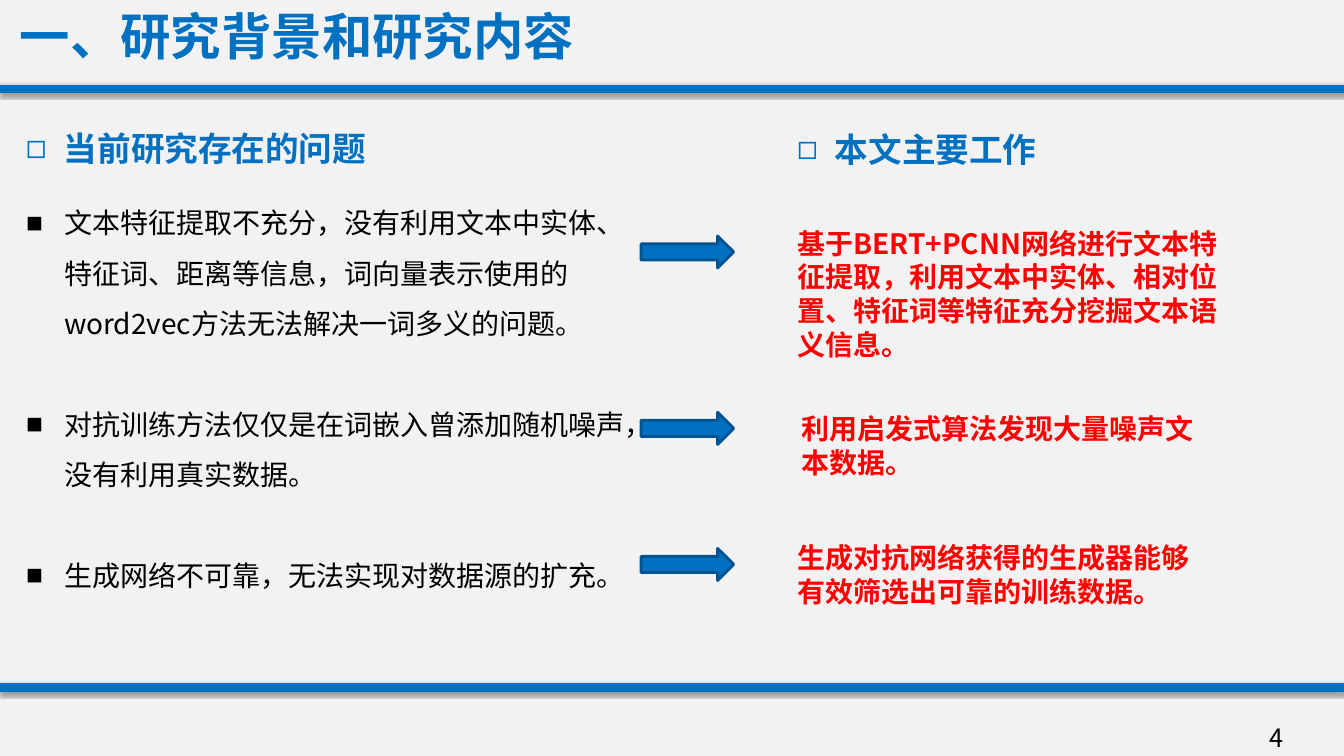
import pptx
import pptx.util
import pptx.dml.color
import pptx.enum.shapes
import pptx.enum.text
import pptx.oxml.ns
import pptx.oxml.xmlchemy

Pt = pptx.util.Pt
RGB = pptx.dml.color.RGBColor
ALIGN = pptx.enum.text.PP_ALIGN
ANCHOR = pptx.enum.text.MSO_ANCHOR
SHAPE = pptx.enum.shapes.MSO_SHAPE
LINK = pptx.enum.shapes.MSO_CONNECTOR

BLUE = RGB(0x00, 0x70, 0xC0)
NAVY = RGB(0x00, 0x53, 0x8E)
RED = RGB(0xFF, 0x00, 0x00)
BLACK = RGB(0x00, 0x00, 0x00)
GREY = RGB(0xF2, 0xF2, 0xF2)

FONT = "Noto Sans CJK SC"
WIDTH, HEIGHT = 960, 540
LEFT, RIGHT = 11.5, 562.3
INDENT = 27

ISSUES = [
    "文本特征提取不充分，没有利用文本中实体、特征词、距离等信息，"
    "词向量表示使用的word2vec方法无法解决一词多义的问题。",
    "对抗训练方法仅仅是在词嵌入曾添加随机噪声，没有利用真实数据。",
    "生成网络不可靠，无法实现对数据源的扩充。",
]

# Each row: arrow top, text left, text top, text width, text height, text
WORKS = [
    (168.5, RIGHT, 158, 316.8, 104.4,
     "基于BERT+PCNN网络进行文本特征提取，利用文本中实体、"
     "相对位置、特征词等特征充分挖掘文本语义信息。"),
    (294.5, 565.2, 290.5, 299.5, 55.4, "利用启发式算法发现大量噪声文本数据。"),
    (391.7, RIGHT, 382.6, 302.4, 55.4,
     "生成对抗网络获得的生成器能够有效筛选出可靠的训练数据。"),
]


def node(tag, **attrs):
    item = pptx.oxml.xmlchemy.OxmlElement(tag)
    for name, value in attrs.items():
        item.set(name, str(value))
    return item


def place(shape, left, top, width, height):
    shape.left, shape.top = Pt(left), Pt(top)
    shape.width, shape.height = Pt(width), Pt(height)


def frame(shape, anchor=ANCHOR.TOP):
    """Make the text wrap at a fixed size and return its frame."""
    text = shape.text_frame
    text.word_wrap = True
    text.auto_size = pptx.enum.text.MSO_AUTO_SIZE.NONE
    text.vertical_anchor = anchor
    return text


def write(para, text, size, color, bold=False, pitch=1.2, align=ALIGN.LEFT):
    """Add one run; pitch is the line height as a share of the size."""
    para.alignment = align
    para.line_spacing = Pt(size * pitch)
    para.space_before = para.space_after = Pt(0)
    run = para.add_run()
    run.text = text
    font = run.font
    font.name, font.size, font.bold = FONT, Pt(size), bold
    font.color.rgb = color
    latin = run._r.rPr.find(pptx.oxml.ns.qn("a:latin"))
    latin.addnext(node("a:ea", typeface=FONT))


def mark(para, char):
    """Give the paragraph a bullet and a hanging indent."""
    props = para._p.get_or_add_pPr()
    props.set("marL", str(Pt(INDENT)))
    props.set("indent", str(-Pt(INDENT)))
    props.append(node("a:buFont", typeface="Arial"))
    props.append(node("a:buChar", char=char))


def add_text(slide, left, top, width, height, anchor=ANCHOR.TOP):
    box = slide.shapes.add_textbox(Pt(left), Pt(top), Pt(width), Pt(height))
    return frame(box, anchor).paragraphs[0]


def add_head(slide, left, top, width, text):
    para = add_text(slide, left, top, width, 36)
    write(para, text, 24, BLUE, bold=True)
    mark(para, "◻")


def add_list(shape, items):
    place(shape, LEFT, 131.3, 457.2, 298)
    text = frame(shape)
    for i, item in enumerate(items):
        para = text.add_paragraph() if i else text.paragraphs[0]
        write(para, item, 20, BLACK, pitch=1.8)
        para.space_before = Pt(36 if i else 0)
        mark(para, "■")


def add_arrow(slide, top):
    arrow = slide.shapes.add_shape(
        SHAPE.RIGHT_ARROW, Pt(457.9), Pt(top), Pt(66.2), Pt(23))
    arrow.shadow.inherit = False
    arrow.fill.solid()
    arrow.fill.fore_color.rgb = BLUE
    arrow.line.color.rgb = NAVY
    arrow.line.width = Pt(2)


def add_rule(slide, top):
    """Draw a full-width line with a soft shadow below it."""
    rule = slide.shapes.add_connector(
        LINK.STRAIGHT, Pt(0), Pt(top), Pt(WIDTH), Pt(top))
    rule.line.color.rgb = BLUE
    rule.line.width = Pt(6)
    effects = node("a:effectLst")
    shadow = node("a:outerShdw", blurRad=int(Pt(3.1)), dist=int(Pt(1.6)),
                  dir=90 * 60000, rotWithShape=0)
    color = node("a:srgbClr", val=BLACK)
    color.append(node("a:alpha", val=38000))
    shadow.append(color)
    effects.append(shadow)
    rule._element.spPr.append(effects)


def main():
    deck = pptx.Presentation()
    deck.slide_width, deck.slide_height = Pt(WIDTH), Pt(HEIGHT)
    slide = deck.slides.add_slide(deck.slide_layouts[1])
    back = slide.background.fill
    back.solid()
    back.fore_color.rgb = GREY

    title, body = slide.placeholders
    place(title, 0, 0, 424, 51)
    write(frame(title).paragraphs[0], "一、研究背景和研究内容", 36, BLUE,
          bold=True, align=ALIGN.CENTER)
    for top in (63.4, 491):
        add_rule(slide, top)

    add_head(slide, LEFT, 87.7, 260, "当前研究存在的问题")
    add_head(slide, RIGHT, 88.4, 213, "本文主要工作")
    add_list(body, ISSUES)
    for tip, left, top, width, height, text in WORKS:
        add_arrow(slide, tip)
        para = add_text(slide, left, top, width, height)
        write(para, text, 20, RED, bold=True)

    number = add_text(slide, 699.8, 512.6, 224, 28.8, ANCHOR.MIDDLE)
    write(number, "4", 18, BLACK, align=ALIGN.RIGHT)
    deck.save("out.pptx")


if __name__ == "__main__":
    main()
